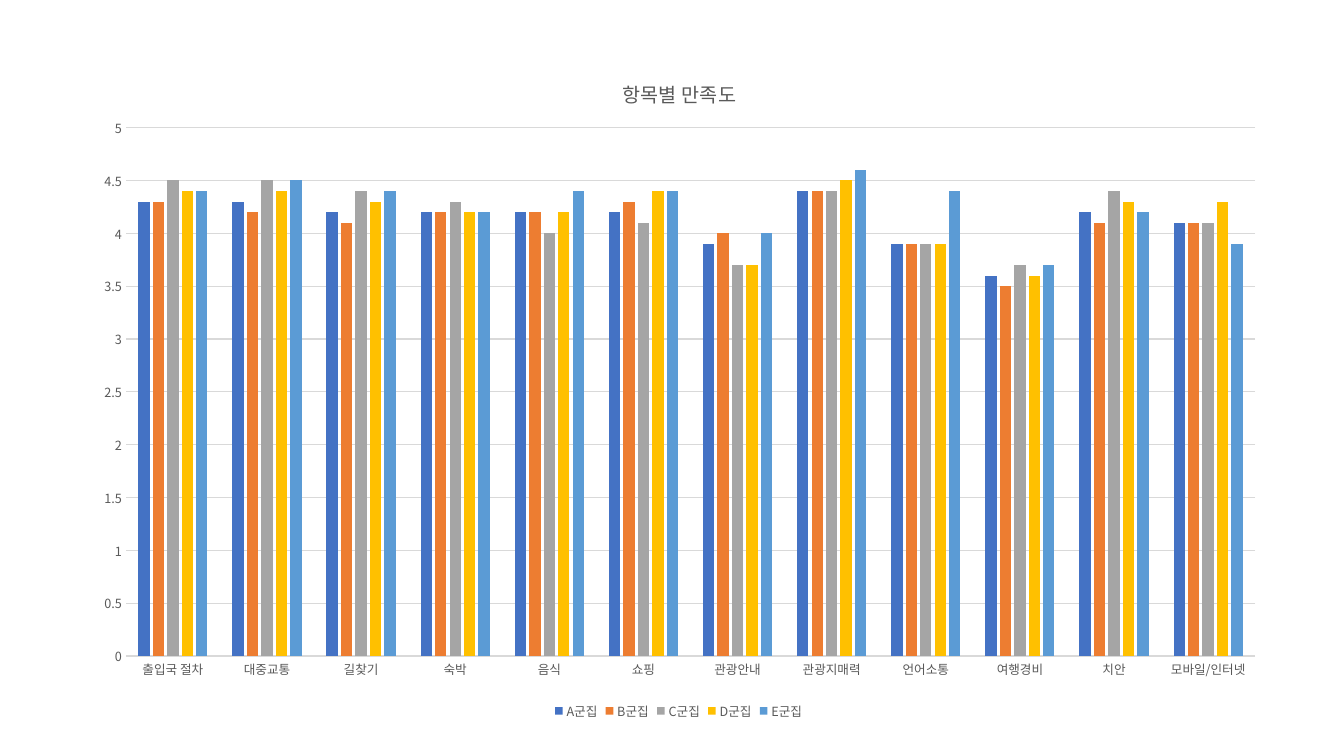
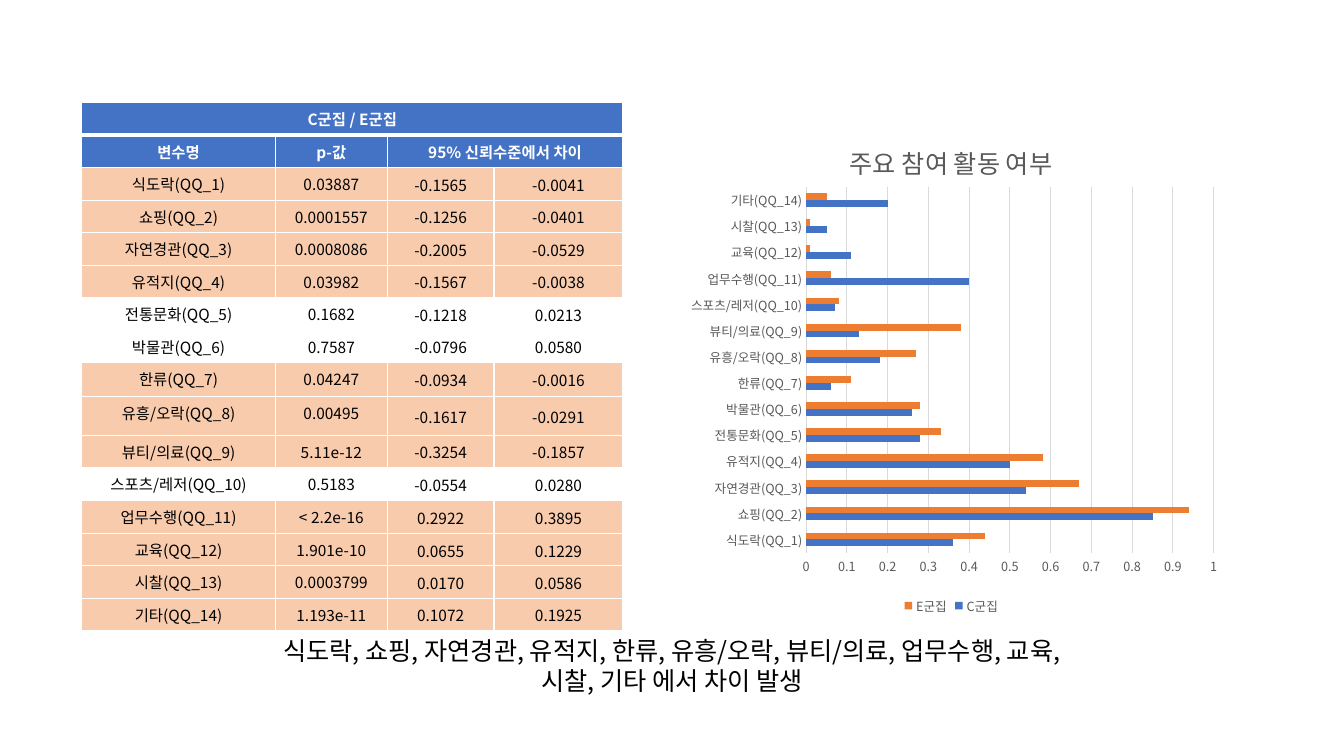
import copy

import lxml.etree
import pptx
import pptx.chart.data
import pptx.dml.color
import pptx.enum.chart
import pptx.enum.text
import pptx.oxml
import pptx.oxml.ns
import pptx.util

Cm = pptx.util.Cm
Pt = pptx.util.Pt
qn = pptx.oxml.ns.qn
Kind = pptx.enum.chart.XL_CHART_TYPE
Tick = pptx.enum.chart.XL_TICK_MARK
Place = pptx.enum.chart.XL_LEGEND_POSITION
Anchor = pptx.enum.text.MSO_ANCHOR
Align = pptx.enum.text.PP_ALIGN
Fit = pptx.enum.text.MSO_AUTO_SIZE

BLUE, ORANGE, PEACH = "4472C4", "ED7D31", "F8CBAD"
WHITE, BLACK, GREY, RULE = "FFFFFF", "000000", "595959", "D9D9D9"


def color(code):
    return pptx.dml.color.RGBColor.from_string(code)


def apply(obj, form):
    for name, value in form.items():
        setattr(obj, name, value)


class Deck:
    face = "Noto Sans CJK KR"

    def __init__(self):
        self.file = pptx.Presentation()
        apply(self.file, {"slide_width": Cm(33.87), "slide_height": Cm(19.05)})
        self.slide = None

    def page(self):
        self.slide = self.file.slides.add_slide(self.file.slide_layouts[6])

    def font(self, font, size, ink, bold=False):
        apply(font, {"name": self.face, "size": Pt(size), "bold": bold})
        font.color.rgb = color(ink)

    def hangul(self, root):
        # Give Korean text the same face as Latin text
        for latin in list(root.iter(qn("a:latin"))):
            asian = copy.deepcopy(latin)
            asian.tag = qn("a:ea")
            latin.addnext(asian)

    def line(self, line, ink):
        line.color.rgb = color(ink)
        line.width = Pt(0.75)

    def fill(self, fill, ink):
        fill.solid()
        fill.fore_color.rgb = color(ink)

    def words(self, frame, lines, size, ink, bold=False):
        for i, line in enumerate(lines):
            para = frame.add_paragraph() if i else frame.paragraphs[0]
            para.alignment = Align.CENTER
            run = para.add_run()
            run.text = line
            self.font(run.font, size, ink, bold)

    def text(self, box, lines, size):
        shape = self.slide.shapes.add_textbox(*map(Cm, box))
        apply(shape.text_frame, {"word_wrap": True, "auto_size": Fit.SHAPE_TO_FIT_TEXT})
        self.words(shape.text_frame, lines, size, BLACK)
        self.hangul(shape.element)

    def layout(self, owner, spot, values):
        # Place a chart part by fractions of the chart area
        for old in owner.findall(qn("c:layout")):
            owner.remove(old)
        outer = lxml.etree.Element(qn("c:layout"))
        owner.insert(spot, outer)
        inner = lxml.etree.SubElement(outer, qn("c:manualLayout"))
        parts = {"xMode": "edge", "yMode": "edge", **dict(zip("xywh", values))}
        if len(values) == 4:
            parts = {"layoutTarget": "inner", **parts}
        for name, value in parts.items():
            lxml.etree.SubElement(inner, qn("c:" + name)).set("val", str(value))

    def chart(self, box, kind, cats, rows, title, top, plot, bars):
        data = pptx.chart.data.CategoryChartData()
        data.categories = cats
        for name, _, values in rows:
            data.add_series(name, values)
        chart = self.slide.shapes.add_chart(kind, *map(Cm, box), data).chart
        self.font(chart.font, 10, BLACK)

        # Title
        label, size, spot = title
        self.words(chart.chart_title.text_frame, [label], size, GREY)
        self.layout(chart.element.find(".//" + qn("c:title")), 1, spot)

        # Bars
        self.layout(chart.element.find(".//" + qn("c:plotArea")), 0, plot)
        apply(chart.plots[0], {"vary_by_categories": False, **bars})
        for series, (_, ink, _) in zip(chart.plots[0].series, rows):
            self.fill(series.format.fill, ink)
            series.invert_if_negative = False

        # Axes
        peak, step = top
        values = chart.value_axis
        apply(values, {"minimum_scale": 0, "maximum_scale": peak, "major_unit": step})
        for axis in (chart.category_axis, values):
            apply(axis, {"major_tick_mark": Tick.NONE, "minor_tick_mark": Tick.NONE})
            self.font(axis.tick_labels.font, 9, GREY)
        self.line(chart.category_axis.format.line, RULE)
        self.line(values.major_gridlines.format.line, RULE)
        values.format.line.fill.background()
        apply(values.tick_labels, {"number_format": "General",
                                   "number_format_is_linked": False})

        # Legend
        chart.has_legend = True
        apply(chart.legend, {"position": Place.BOTTOM, "include_in_layout": False})
        self.font(chart.legend.font, 9, GREY)
        self.hangul(chart.element)

    def edge(self, cell, base):
        props = cell._tc.get_or_add_tcPr()
        for i, side in enumerate("LRTB"):
            width = Pt(base if side == "B" else 1)
            props.insert(i, pptx.oxml.parse_xml(
                f'<a:ln{side} {pptx.oxml.ns.nsdecls("a")} w="{width}"><a:solidFill>'
                f'<a:srgbClr val="{WHITE}"/></a:solidFill></a:ln{side}>'))

    def table(self, box, wide, high, heads, rows):
        grid = heads + rows
        frame = self.slide.shapes.add_table(len(grid), len(wide), *map(Cm, box))
        table = frame.table
        for col, width in zip(table.columns, wide):
            col.width = Cm(width)
        for row, height in zip(table.rows, high):
            row.height = Cm(height)
        table.cell(0, 0).merge(table.cell(0, 3))
        table.cell(1, 2).merge(table.cell(1, 3))
        tight = {"vertical_anchor": Anchor.MIDDLE, "margin_bottom": 0,
                 **dict.fromkeys(("margin_left", "margin_top", "margin_right"), Cm(0.03))}
        for r, row in enumerate(grid):
            head = r < len(heads)
            # A range that spans zero shows no difference
            flat = not head and float(row[2]) < 0 < float(row[3])
            shade = BLUE if head else WHITE if flat else PEACH
            for c, label in enumerate(row):
                cell = table.cell(r, c)
                if label:
                    self.words(cell.text_frame, [label], 11,
                               WHITE if head else BLACK, head)
                self.fill(cell.fill, shade)
                self.edge(cell, 1 if r else 3)
                if not head and c > 1:
                    apply(cell, tight)
        self.hangul(frame.element)


TOPICS = ["출입국 절차", "대중교통", "길찾기", "숙박", "음식", "쇼핑", "관광안내",
          "관광지매력", "언어소통", "여행경비", "치안", "모바일/인터넷"]
SCORES = [
    ("A군집", BLUE, [4.3, 4.3, 4.2, 4.2, 4.2, 4.2, 3.9, 4.4, 3.9, 3.6, 4.2, 4.1]),
    ("B군집", ORANGE, [4.3, 4.2, 4.1, 4.2, 4.2, 4.3, 4, 4.4, 3.9, 3.5, 4.1, 4.1]),
    ("C군집", "A5A5A5", [4.5, 4.5, 4.4, 4.3, 4, 4.1, 3.7, 4.4, 3.9, 3.7, 4.4, 4.1]),
    ("D군집", "FFC000", [4.4, 4.4, 4.3, 4.2, 4.2, 4.4, 3.7, 4.5, 3.9, 3.6, 4.3, 4.3]),
    ("E군집", "5B9BD5", [4.4, 4.5, 4.4, 4.2, 4.4, 4.4, 4, 4.6, 4.4, 3.7, 4.2, 3.9]),
]
HEADS = [("C군집 / E군집", "", "", ""), ("변수명", "p-값", "95% 신뢰수준에서 차이", "")]
TESTS = [
    ("식도락(QQ_1)", "0.03887", "-0.1565", "-0.0041"),
    ("쇼핑(QQ_2)", "0.0001557", "-0.1256", "-0.0401"),
    ("자연경관(QQ_3)", "0.0008086", "-0.2005", "-0.0529"),
    ("유적지(QQ_4)", "0.03982", "-0.1567", "-0.0038"),
    ("전통문화(QQ_5)", "0.1682", "-0.1218", "0.0213"),
    ("박물관(QQ_6)", "0.7587", "-0.0796", "0.0580"),
    ("한류(QQ_7)", "0.04247", "-0.0934", "-0.0016"),
    ("유흥/오락(QQ_8)", "0.00495", "-0.1617", "-0.0291"),
    ("뷰티/의료(QQ_9)", "5.11e-12", "-0.3254", "-0.1857"),
    ("스포츠/레저(QQ_10)", "0.5183", "-0.0554", "0.0280"),
    ("업무수행(QQ_11)", "< 2.2e-16", "0.2922", "0.3895"),
    ("교육(QQ_12)", "1.901e-10", "0.0655", "0.1229"),
    ("시찰(QQ_13)", "0.0003799", "0.0170", "0.0586"),
    ("기타(QQ_14)", "1.193e-11", "0.1072", "0.1925"),
]
SHARES = [
    ("C군집", BLUE, [0.36, 0.85, 0.54, 0.5, 0.28, 0.26, 0.06,
                   0.18, 0.13, 0.07, 0.4, 0.11, 0.05, 0.2]),
    ("E군집", ORANGE, [0.44, 0.94, 0.67, 0.58, 0.33, 0.28, 0.11,
                     0.27, 0.38, 0.08, 0.06, 0.01, 0.01, 0.05]),
]


def main():
    deck = Deck()

    # Satisfaction by item
    deck.page()
    deck.chart((1.96, 1.17, 30.28, 17.07), Kind.COLUMN_CLUSTERED, TOPICS, SCORES,
               ("항목별 만족도", 14, (0.45, 0.04)), (5, 0.5),
               (0.04, 0.12, 0.94, 0.78), {"gap_width": 219, "overlap": -27})

    # Activities of two clusters
    deck.page()
    high = [0.76] + [0.79] * 7 + [0.86, 0.97, 0.79, 0.84] + [0.79] * 4
    deck.table((2.06, 2.59, 13.64, 12.8), (4.88, 2.82, 2.69, 3.25), high, HEADS, TESTS)
    deck.chart((16.94, 2.79, 14.07, 12.8), Kind.BAR_CLUSTERED,
               [test[0] for test in TESTS], SHARES,
               ("주요 참여 활동 여부", 18, (0.31, 0.05)), (1, 0.1),
               (0.24, 0.15, 0.73, 0.72), {"gap_width": 182, "overlap": 0})
    deck.text((5.26, 15.88, 23.34, 1.8),
              ["식도락, 쇼핑, 자연경관, 유적지, 한류, 유흥/오락, 뷰티/의료, 업무수행, 교육,",
               "시찰, 기타 에서 차이 발생"], 18)

    deck.file.save("out.pptx")


if __name__ == "__main__":
    main()
